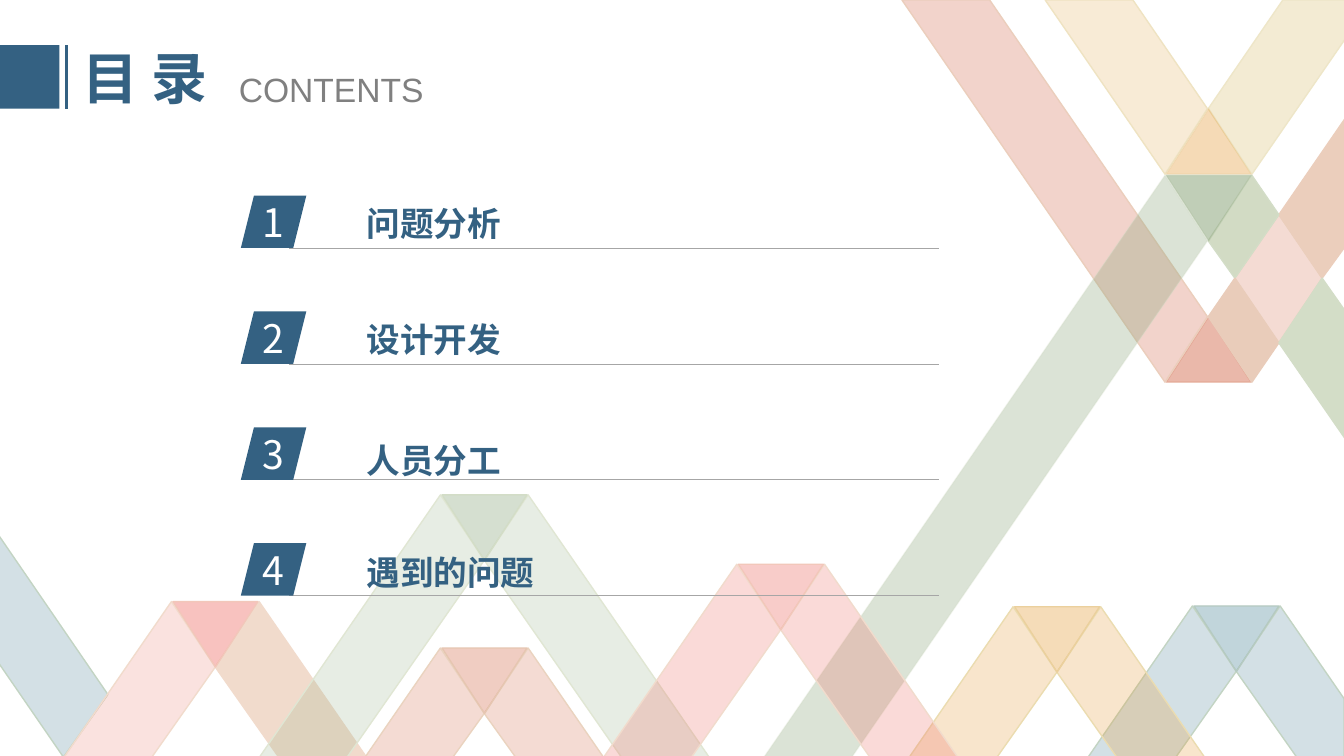
from lxml.etree import SubElement
from pptx import Presentation
from pptx.dml.color import RGBColor
from pptx.enum.shapes import MSO_CONNECTOR, MSO_SHAPE
from pptx.enum.text import MSO_ANCHOR, MSO_AUTO_SIZE, PP_ALIGN
from pptx.oxml.ns import qn
from pptx.util import Cm, Pt

NAVY = RGBColor(0x34, 0x61, 0x82)
WHITE = RGBColor(0xFF, 0xFF, 0xFF)
GRAY = RGBColor(0x80, 0x80, 0x80)
RULE_GRAY = RGBColor(0xA6, 0xA6, 0xA6)
ROSE = RGBColor(0xEE, 0x8F, 0x82)
RED = RGBColor(0xED, 0x52, 0x49)
CORAL = RGBColor(0xED, 0x6F, 0x65)
BRICK = RGBColor(0xD5, 0x70, 0x53)
BRICK_EDGE = RGBColor(0xDF, 0x9B, 0x83)
SAGE = RGBColor(0xA2, 0xB8, 0x94)
SAGE_FOLD = RGBColor(0x89, 0xA6, 0x7A)
SAGE_EDGE = RGBColor(0xE0, 0xE6, 0xD3)
GREEN = RGBColor(0x88, 0xA3, 0x78)
GREEN_EDGE = RGBColor(0xB3, 0xC4, 0xA5)
PALE_GREEN = RGBColor(0xD2, 0xDB, 0xC4)
MIST_GREEN = RGBColor(0xD3, 0xDD, 0xC7)
TEAL = RGBColor(0x50, 0x87, 0x99)
TEAL_EDGE = RGBColor(0xC3, 0xD4, 0xC3)
TEAL_FOLD_EDGE = RGBColor(0xB5, 0xCA, 0xC1)
ORANGE = RGBColor(0xE4, 0x9B, 0x35)
ORANGE_EDGE = RGBColor(0xEB, 0xDC, 0xB0)
GOLD = RGBColor(0xE7, 0xB0, 0x5E)
GOLD_FOLD_EDGE = RGBColor(0xEB, 0xD0, 0x9D)
CREAM = RGBColor(0xEF, 0xE3, 0xC2)
CREAM_EDGE = RGBColor(0xEE, 0xE6, 0xC8)
BEIGE = RGBColor(0xF1, 0xDB, 0xCC)
TAN = RGBColor(0xEA, 0xD3, 0xBF)
TAN_FOLD_EDGE = RGBColor(0xE6, 0xC6, 0xB1)
PEACH = RGBColor(0xEB, 0xCE, 0xBC)
SAND = RGBColor(0xE9, 0xCC, 0xBA)
PINK_EDGE = RGBColor(0xF2, 0xC7, 0xBA)

CJK = "Noto Sans CJK SC"
TITLE = {"size": Pt(40), "bold": True, "name": CJK}
SUBTITLE = {"size": Pt(24), "name": "Arial"}
NUMBER = {"size": Pt(28), "name": CJK}
ENTRY = {"size": Pt(24), "bold": True, "name": CJK}

WIDTH, HEIGHT = 33.87, 19.05
BLEED, FOOT = 33.91, 19.16
SLOPE, RIBBON = 0.69, 2.21
FOLD_WIDTH, FOLD_DEPTH = 2.14, 1.65
ROW_PITCH = 2.92

ENTRIES = [
    ("问题分析", 5.0, 3.89, 1.27, 1.0),
    ("设计开发", 7.9, 3.89, 1.27, 1.0),
    ("人员分工", 10.46, 3.89, 1.8, 1.5),
    ("遇到的问题", 13.28, 4.75, 1.8, 1.5),
]
LOWER_PEAKS = [
    (4.32, 15.16, (ROSE, 25), (BEIGE, 100), (RED, 35), BEIGE, PINK_EDGE),
    (11.1, 12.47, (SAGE, 25), (SAGE, 25), (SAGE_FOLD, 35), SAGE_EDGE, MIST_GREEN),
    (11.1, 16.33, (BRICK, 25), (BRICK, 25), (BRICK, 35), TAN, TAN_FOLD_EDGE),
    (30.05, 15.27, (TEAL, 25), (TEAL, 25), (TEAL, 35), TEAL_EDGE, TEAL_FOLD_EDGE),
    (25.53, 15.29, (ORANGE, 25), (ORANGE, 25), (ORANGE, 35), ORANGE_EDGE, GOLD_FOLD_EDGE),
]
CORAL_PEAK = (18.57, 14.22, (CORAL, 25), (CORAL, 25), (CORAL, 35), BEIGE, PINK_EDGE)
UPPER_RIBBONS = [
    ([(26.34, 0), (28.55, 0), (30.43, 2.74), (29.36, 4.39)], (GOLD, 25), CREAM),
    ([(32.33, 0), (BLEED, 0), (BLEED, 0.97), (31.55, 4.39), (30.45, 2.74)],
     (CREAM, 71), CREAM_EDGE),
    ([(32.23, 5.41), (33.32, 7.01), (32.23, 8.64), (31.12, 7.01)], (BRICK, 25), TAN),
    ([(BLEED, 2.97), (BLEED, 6.2), (33.32, 7.01), (32.23, 5.41)], (PEACH, 100), PEACH),
    ([(31.55, 4.42), (32.23, 5.41), (31.12, 7.01), (30.45, 6.07)],
     (PALE_GREEN, 100), MIST_GREEN),
    ([(31.12, 7.01), (32.23, 8.64), (31.55, 9.63), (30.45, 7.98)], (SAND, 100), SAND),
    ([(33.32, 7.01), (BLEED, 7.85), (BLEED, 11.07), (32.23, 8.64)],
     (MIST_GREEN, 100), MIST_GREEN),
    ([(-0.1, 13.39), (2.72, 17.5), (1.6, 19.08), (-0.1, 16.61)], (TEAL, 25), TEAL_EDGE),
    ([(22.73, 0), (24.94, 0), (30.43, 7.98), (29.36, 9.63)], (BRICK, 30), PEACH),
]
LONG_GREEN = [(29.36, 4.42), (30.43, 6.07), (21.41, FOOT), (19.2, FOOT)]


def set_opacity(solid_fill, percent):
    """Make a solid fill partly transparent."""
    if percent < 100:
        SubElement(solid_fill[0], qn("a:alpha"), val=str(percent * 1000))


def add_polygon(slide, corners, paint, edge, edge_opacity=100):
    """Draw a closed outline with a translucent fill."""
    points = [(Cm(x), Cm(y)) for x, y in corners]
    builder = slide.shapes.build_freeform(*points[0])
    builder.add_line_segments(points[1:], close=True)
    polygon = builder.convert_to_shape()
    polygon.shadow.inherit = False
    color, opacity = paint
    polygon.fill.solid()
    polygon.fill.fore_color.rgb = color
    polygon.line.color.rgb = edge
    polygon.line.width = Pt(1)
    properties = polygon._element.spPr
    set_opacity(properties.find(qn("a:solidFill")), opacity)
    set_opacity(properties.find(qn("a:ln")).find(qn("a:solidFill")), edge_opacity)


def add_fold(slide, left, base, tip, paint, edge, edge_opacity=100):
    """Draw the triangle where two ribbons overlap."""
    corners = [(left, base), (left + FOLD_WIDTH, base), (left + FOLD_WIDTH / 2, tip)]
    add_polygon(slide, corners, paint, edge, edge_opacity)


def add_peak(slide, left, top, rising, falling, fold, edge, fold_edge):
    """Draw a ribbon folded into a peak that runs off the bottom."""
    right, run = left + RIBBON, SLOPE * (FOOT - top)
    apex = (left + RIBBON / 2, top + FOLD_DEPTH)
    add_polygon(slide, [(left, top), apex, (right - run, FOOT), (left - run, FOOT)],
                rising, edge)
    end = [(right + run, FOOT)]
    if right + run > WIDTH:
        end = [(WIDTH, top + (WIDTH - right) / SLOPE), (WIDTH, FOOT)]
    add_polygon(slide, [(right, top), *end, (left + run, FOOT), apex], falling, edge)
    add_fold(slide, left + 0.04, top, top + FOLD_DEPTH, fold, fold_edge)


def add_block(slide, kind, left, top, width, height):
    """Draw a plain navy block."""
    block = slide.shapes.add_shape(kind, Cm(left), Cm(top), Cm(width), Cm(height))
    block.shadow.inherit = False
    block.fill.solid()
    block.fill.fore_color.rgb = NAVY
    block.line.fill.background()


def add_rule(slide, start, end, color, weight):
    """Draw a straight line."""
    rule = slide.shapes.add_connector(
        MSO_CONNECTOR.STRAIGHT, *(Cm(value) for value in (*start, *end)))
    rule.line.color.rgb = color
    rule.line.width = Pt(weight)
    SubElement(rule._element.spPr, qn("a:effectLst"))


def add_label(slide, text, box, style, color, align=PP_ALIGN.LEFT,
              anchor=MSO_ANCHOR.TOP, wrap=True, spacing=1.0):
    """Write one line of text."""
    label = slide.shapes.add_textbox(*(Cm(value) for value in box))
    frame = label.text_frame
    layout = {"word_wrap": wrap, "vertical_anchor": anchor,
              "auto_size": MSO_AUTO_SIZE.SHAPE_TO_FIT_TEXT}
    paragraph = frame.paragraphs[0]
    run = paragraph.add_run()
    run.text = text
    run.font.color.rgb = color
    formats = [(frame, layout), (run.font, style),
               (paragraph, {"alignment": align, "line_spacing": spacing})]
    for target, values in formats:
        for attribute, value in values.items():
            setattr(target, attribute, value)
    SubElement(run._r.get_or_add_rPr(), qn("a:ea"), typeface=style["name"])


def add_ribbons(slide):
    """Draw the folded ribbons behind the contents."""
    add_fold(slide, 29.39, 9.63, 7.98, (BRICK, 49), BRICK_EDGE, 49)
    for corners, paint, edge in UPPER_RIBBONS:
        add_polygon(slide, corners, paint, edge)
    add_fold(slide, 29.39, 4.39, 2.74, (ORANGE, 36), GOLD_FOLD_EDGE, 36)
    add_fold(slide, 29.39, 4.42, 6.07, (GREEN, 53), GREEN_EDGE, 53)
    for peak in LOWER_PEAKS:
        add_peak(slide, *peak)
    add_polygon(slide, LONG_GREEN, (GREEN, 30), MIST_GREEN, 30)
    add_peak(slide, *CORAL_PEAK)


def add_heading(slide):
    """Write the slide heading with its block and bar."""
    add_block(slide, MSO_SHAPE.RECTANGLE, 0, 1.14, 1.5, 1.6)
    add_rule(slide, (1.68, 1.14), (1.68, 2.74), NAVY, 2.25)
    add_label(slide, "目 录", (1.83, 0.97, 3.91, 1.96), TITLE, NAVY,
              anchor=MSO_ANCHOR.MIDDLE)
    add_label(slide, "CONTENTS", (5.77, 1.6, 6.35, 1.27), SUBTITLE, GRAY)


def add_entry(slide, index, text, top, width, height, spacing):
    """Write one numbered entry of the contents."""
    row = 4.93 + index * ROW_PITCH
    add_rule(slide, (7.29, row + 1.32), (23.67, row + 1.32), RULE_GRAY, 0.5)
    add_block(slide, MSO_SHAPE.PARALLELOGRAM, 6.07, row, 1.65, 1.32)
    add_label(slide, str(index + 1), (6.1, row - 0.05, 1.6, 1.45), NUMBER, WHITE,
              align=PP_ALIGN.CENTER)
    add_label(slide, text, (8.99, top, width, height), ENTRY, NAVY,
              wrap=False, spacing=spacing)


def main():
    """Build and save the contents slide."""
    deck = Presentation()
    deck.slide_width, deck.slide_height = Cm(WIDTH), Cm(HEIGHT)
    slide = deck.slides.add_slide(deck.slide_layouts[6])
    add_ribbons(slide)
    add_heading(slide)
    for index, entry in enumerate(ENTRIES):
        add_entry(slide, index, *entry)
    deck.save("out.pptx")


if __name__ == "__main__":
    main()
